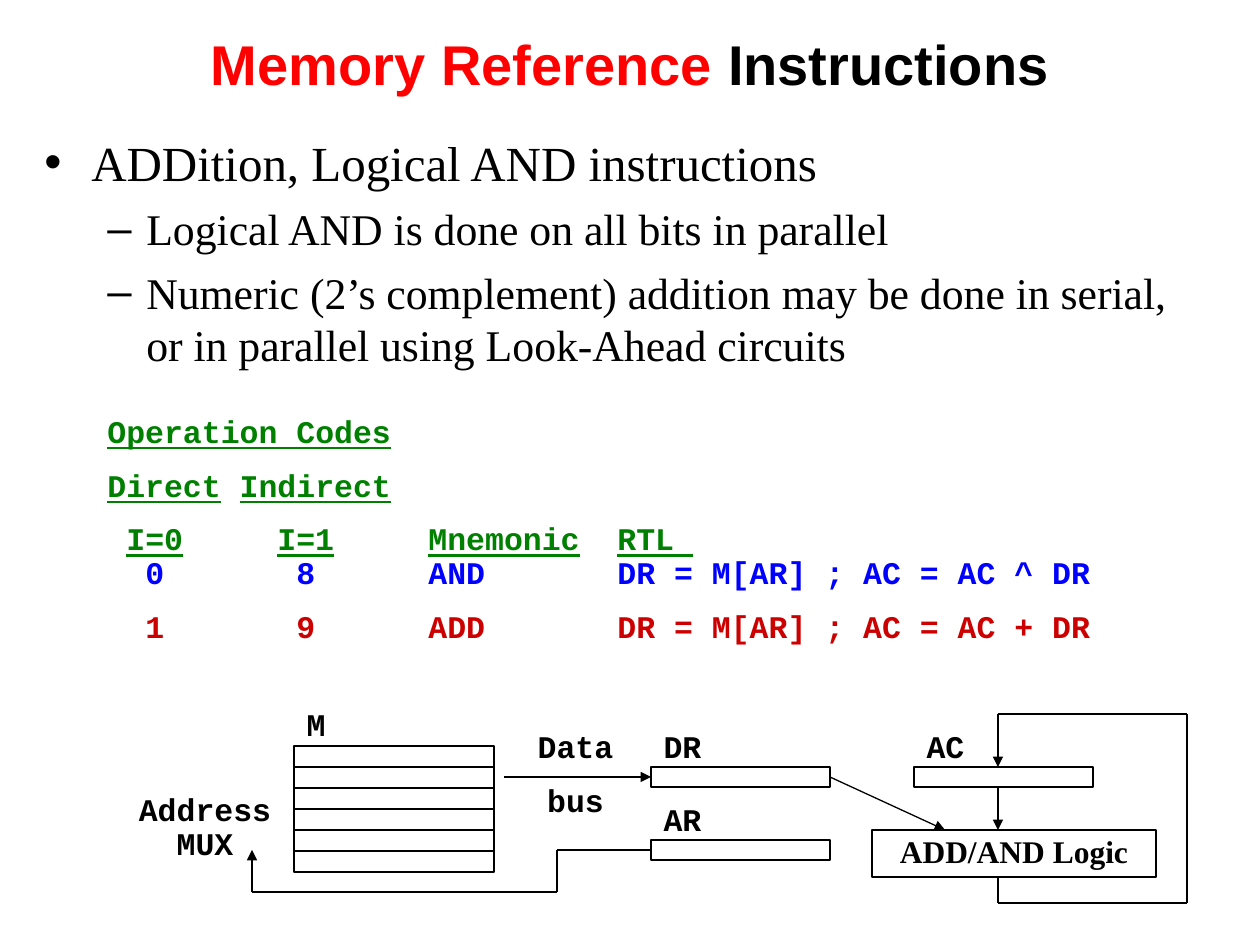
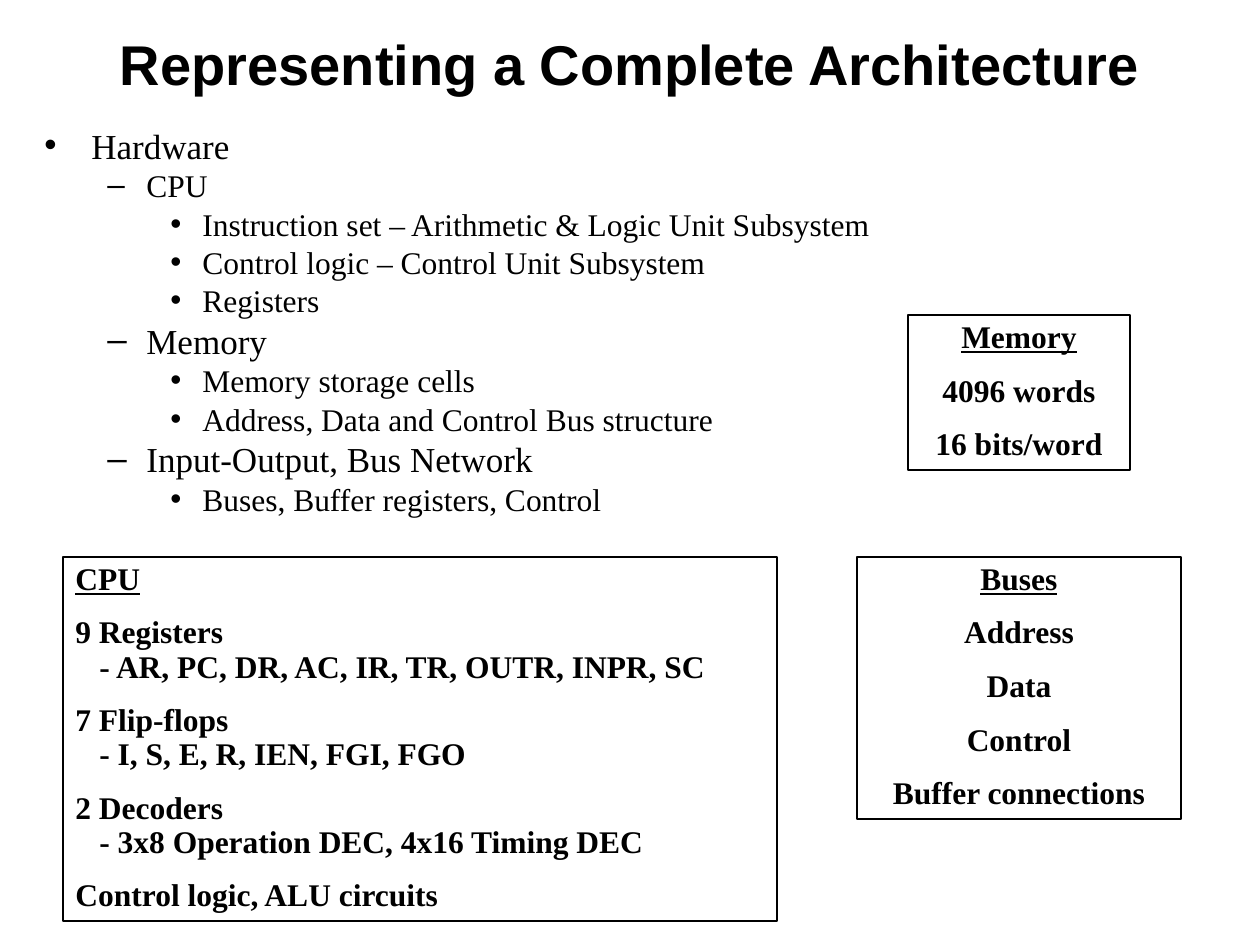
"""Build two slides on memory reference instructions and architecture."""
from lxml.etree import SubElement
from pptx import Presentation
from pptx.dml.color import RGBColor
from pptx.enum.shapes import MSO_CONNECTOR, MSO_SHAPE
from pptx.enum.text import MSO_ANCHOR, PP_ALIGN
from pptx.oxml.ns import qn
from pptx.util import Inches, Pt

PX = Inches(1) / 126
BLACK, RED, GREEN, BLUE, CRIMSON = "000000", "FF0000", "008000", "0000FF", "CC0000"
SERIF, SANS, MONO = "Times New Roman", "Arial", "Courier New"
LEVELS = [("•", 47, -47), ("–", 102, -39), ("•", 158, -32)]


def px(length):
    """Turn pixels into EMU."""
    return round(length * PX)


def color(code):
    """Turn a hex string into a colour."""
    return RGBColor.from_string(code)


def add_span(para, text, size=18, font=SERIF, ink=BLACK, bold=True, underline=False):
    """Add one formatted run to a paragraph."""
    span = para.add_run()
    span.text = text
    span.font.size = Pt(size)
    span.font.name = font
    span.font.bold = bold
    span.font.underline = underline
    span.font.color.rgb = color(ink)


def set_indent(para, left, first=0):
    """Set the left margin and first-line indent of a paragraph."""
    properties = para._p.get_or_add_pPr()
    properties.set("marL", str(px(left)))
    properties.set("indent", str(px(first)))
    return properties


class Slides:
    """Hold the deck, its style and the current page."""

    def __init__(self):
        """Start a deck of 10 by 7.5 inches."""
        self.deck = Presentation()
        self.deck.slide_width, self.deck.slide_height = px(1260), px(945)

    def start(self, *title):
        """Add a page with a centred title made of (text, colour) spans."""
        self.page = self.deck.slides.add_slide(self.deck.slide_layouts[6])
        self.sites = {}
        box = self.text_box(0, 0, 1260, 126)
        box.text_frame.vertical_anchor = MSO_ANCHOR.MIDDLE
        para = self.para(box, True, spacing=1)
        for text, ink in title:
            add_span(para, text, size=32, font=SANS, ink=ink)

    def frame(self, box, wrap=True):
        """Set the margins and wrapping of a box."""
        frame = box.text_frame
        frame.word_wrap = wrap
        frame.vertical_anchor = MSO_ANCHOR.TOP
        frame.margin_left = frame.margin_right = Inches(0.1)
        frame.margin_top = frame.margin_bottom = Inches(0.05)
        return box

    def text_box(self, left, top, width, height, wrap=True):
        """Add an empty text box."""
        place = map(px, (left, top, width, height))
        return self.frame(self.page.shapes.add_textbox(*place), wrap)

    def rectangle(self, left, top, width, height, fill=None):
        """Add an outlined rectangle and note the middles of its sides."""
        place = map(px, (left, top, width, height))
        box = self.page.shapes.add_shape(MSO_SHAPE.RECTANGLE, *place)
        box.shadow.inherit = False
        if fill:
            box.fill.solid()
            box.fill.fore_color.rgb = color(fill)
        else:
            box.fill.background()
        box.line.color.rgb = color(BLACK)
        box.line.width = Pt(0.75)
        middle, center = left + width / 2, top + height / 2
        sides = [(middle, top), (left, center), (middle, top + height), (left + width, center)]
        self.sites.update({side: (box, site) for site, side in enumerate(sides)})
        return self.frame(box)

    def para(self, box, centered=False, spacing=0.9, before=11.2):
        """Return the first paragraph if unused, or else a new one."""
        para = box.text_frame.paragraphs[0]
        if para.runs:
            para = box.text_frame.add_paragraph()
            para.space_before = Pt(before)
        para.line_spacing = spacing
        para.alignment = PP_ALIGN.CENTER if centered else PP_ALIGN.LEFT
        return para

    def lines(self, box, texts, centered=True, before=11.2, **style):
        """Write one paragraph for each text."""
        for text in texts:
            add_span(self.para(box, centered, before=before), text, **style)

    def label(self, left, top, width, height, *texts, before=11.2):
        """Add a centred monospaced label."""
        box = self.text_box(left, top, width, height, wrap=False)
        self.lines(box, texts, before=before, font=MONO)

    def bullets(self, height, items, spacing=1):
        """Add the body list from (level, size, text) items."""
        box = self.text_box(32, 126, 1187, height)
        for level, size, text in items:
            para = self.para(box, spacing=spacing, before=size / 4)
            mark, left, first = LEVELS[level]
            properties = set_indent(para, left, first)
            SubElement(properties, qn("a:buFont"), typeface=SANS)
            SubElement(properties, qn("a:buChar"), char=mark)
            add_span(para, text, size=size, bold=False)

    def code_row(self, box, cells, stops, before=11.2, **style):
        """Write code cells, each starting at its tab stop."""
        para = self.para(box, before=before)
        tabs = SubElement(para._p.get_or_add_pPr(), qn("a:tabLst"))
        for stop, cell in zip(stops, cells):
            SubElement(tabs, qn("a:tab"), pos=str(px(stop)), algn="l")
            add_span(para, "\t", font=MONO)
            add_span(para, cell, font=MONO, **style)

    def wire(self, *points, arrow=False):
        """Draw straight lines through points, joined to box sides they meet."""
        for start, end in zip(points, points[1:]):
            line = self.page.shapes.add_connector(MSO_CONNECTOR.STRAIGHT, *map(px, start + end))
            if start in self.sites:
                line.begin_connect(*self.sites[start])
            if end in self.sites:
                line.end_connect(*self.sites[end])
            line.line.color.rgb = color(BLACK)
            line.line.width = Pt(0.75)
            SubElement(line._element.spPr, qn("a:effectLst"))
        if arrow:
            SubElement(line.line._get_or_add_ln(), qn("a:tailEnd"), type="triangle")

    def panel(self, place, heading, texts):
        """Add a bordered panel with an underlined heading."""
        box = self.rectangle(*place)
        self.lines(box, [heading], underline=True)
        self.lines(box, texts)


def add_operation_codes(slides):
    """Add the operation code listing."""
    box = slides.text_box(95, 410, 1040, 242)
    green = {"font": MONO, "ink": GREEN}
    slides.lines(box, ["Operation Codes"], centered=False, underline=True, **green)
    para = slides.para(box)
    for text in ("Direct", " ", "Indirect"):
        add_span(para, text, underline=text != " ", **green)
    slides.code_row(box, ["I=0", "I=1", "Mnemonic", "RTL "], [19, 170, 321, 510],
                    ink=GREEN, underline=True)
    stops = [38, 189, 321, 510]
    slides.code_row(box, ["0", "8", "AND", "DR = M[AR] ; AC = AC ^ DR"], stops, before=0, ink=BLUE)
    slides.code_row(box, ["1", "9", "ADD", "DR = M[AR] ; AC = AC + DR"], stops, ink=CRIMSON)


def add_data_path(slides):
    """Add the memory, registers and logic with their wiring."""
    slides.rectangle(294, 746, 200, 126)
    for row in range(1, 6):
        y = 746 + 21 * row
        slides.wire((294, y), (494, y))
    slides.label(294, 703, 44, 47, "M")
    for name, left, top in (("DR", 651, 767), ("AR", 651, 840), ("AC", 914, 767)):
        slides.rectangle(left, top, 179, 20)
        slides.label(left, top - 42, 63, 47, name)
    logic = slides.rectangle(872, 830, 284, 47, fill="FFFFFF")
    slides.lines(logic, ["ADD/AND Logic"])
    slides.label(126, 788, 158, 81, "Address", "MUX", before=0)
    slides.label(525, 725, 101, 101, "Data", "bus")
    slides.wire((651, 850), (557, 850), (557, 892), (252, 892), (252, 850), arrow=True)
    slides.wire((504, 777), (651, 777), arrow=True)
    slides.wire((830, 777), (945, 830), arrow=True)
    slides.wire((998, 787), (998, 830), arrow=True)
    slides.wire((998, 877), (998, 903), (1187, 903), (1187, 714), (998, 714), (998, 767), arrow=True)


def add_cpu_panel(slides):
    """Add the CPU panel with its indented details."""
    box = slides.rectangle(63, 557, 714, 364)
    slides.lines(box, ["CPU"], centered=False, underline=True)
    for text, detail in (
        ("9 Registers", "- AR, PC, DR, AC, IR, TR, OUTR, INPR, SC"),
        ("7 Flip-flops", "- I, S, E, R, IEN, FGI, FGO"),
        ("2 Decoders", "- 3x8 Operation DEC, 4x16 Timing DEC"),
    ):
        slides.lines(box, [text], centered=False)
        para = slides.para(box, before=0)
        set_indent(para, 24)
        add_span(para, detail)
    slides.lines(box, ["Control logic, ALU circuits"], centered=False)


def main():
    """Build and save the deck."""
    slides = Slides()

    slides.start(("Memory Reference ", RED), ("Instructions", BLACK))
    slides.bullets(284, [
        (0, 28, "ADDition, Logical AND instructions"),
        (1, 25, "Logical AND is done on all bits in parallel"),
        (1, 25, "Numeric (2’s complement) addition may be done in serial, "
                "or in parallel using Look-Ahead circuits"),
    ])
    add_operation_codes(slides)
    add_data_path(slides)

    slides.start(("Representing a Complete Architecture", BLACK))
    slides.bullets(420, [
        (0, 20, "Hardware"),
        (1, 18, "CPU"),
        (2, 18, "Instruction set – Arithmetic & Logic Unit Subsystem"),
        (2, 18, "Control logic – Control Unit Subsystem"),
        (2, 18, "Registers"),
        (1, 20, "Memory"),
        (2, 18, "Memory storage cells"),
        (2, 18, "Address, Data and Control Bus structure"),
        (1, 20, "Input-Output, Bus Network"),
        (2, 18, "Buses, Buffer registers, Control"),
    ], spacing=0.8)
    slides.panel((908, 315, 222, 155), "Memory", ["4096 words", "16 bits/word"])
    add_cpu_panel(slides)
    slides.panel((857, 557, 324, 262), "Buses",
                 ["Address", "Data", "Control", "Buffer connections"])

    slides.deck.save("out.pptx")


if __name__ == "__main__":
    main()
